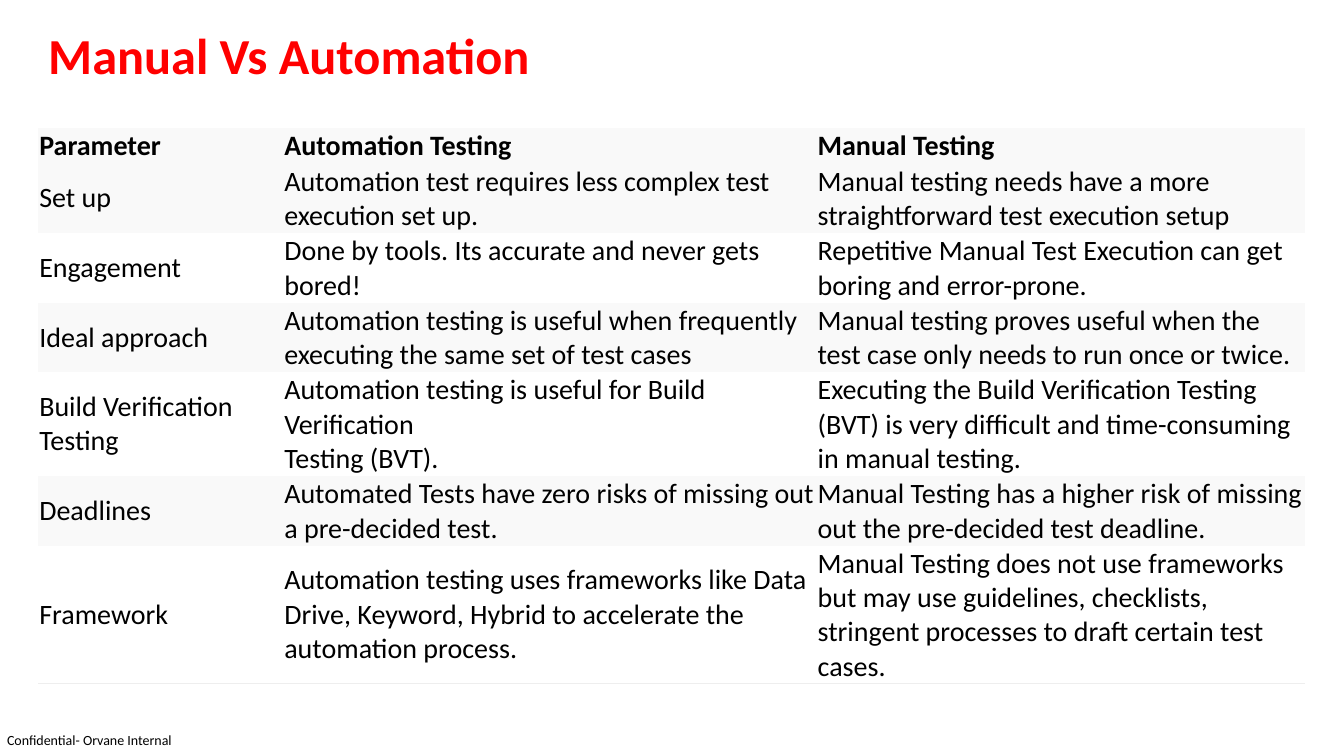
from lxml.etree import SubElement
from pptx import Presentation
from pptx.dml.color import RGBColor
from pptx.enum.text import MSO_ANCHOR
from pptx.oxml import parse_xml
from pptx.oxml.ns import nsdecls, qn
from pptx.util import Inches, Pt

RED = RGBColor(0xFF, 0x00, 0x00)
BLACK = RGBColor(0x00, 0x00, 0x00)
WHITE = RGBColor(0xFF, 0xFF, 0xFF)
GRAY = RGBColor(0xF9, 0xF9, 0xF9)
RULE = RGBColor(0xEE, 0xEE, 0xEE)

WIDTHS = (2.43, 5.29, 4.84)
LINE = 0.34
PAD = 0.01

# Each row: its number of text lines, then its cells.
ROWS = [
    (1, "Parameter", "Automation Testing", "Manual Testing"),
    (2, "Set up",
     "Automation test requires less complex test execution set up.",
     "Manual testing needs have a more straightforward test execution setup"),
    (2, "Engagement",
     "Done by tools. Its accurate and never gets bored!",
     "Repetitive Manual Test Execution can get boring and error-prone."),
    (2, "Ideal approach",
     "Automation testing is useful when frequently executing the same set of test cases",
     "Manual testing proves useful when the test case only needs to run once or twice."),
    (3, "Build Verification\vTesting",
     "Automation testing is useful for Build Verification\vTesting (BVT).",
     "Executing the Build Verification Testing (BVT) is very difficult "
     "and time-consuming in manual testing."),
    (2, "Deadlines",
     "Automated Tests have zero risks of missing out a pre-decided test.",
     "Manual Testing has a higher risk of missing out the pre-decided test deadline."),
    (4, "Framework",
     "Automation testing uses frameworks like Data Drive, Keyword, Hybrid "
     "to accelerate the automation process.",
     "Manual Testing does not use frameworks but may use guidelines, checklists, "
     "stringent processes to draft certain test cases."),
]


def style(para, size, color, bold=False):
    font = para.font
    font.name = "Calibri"
    font.size = Pt(size)
    font.bold = bold
    font.color.rgb = color


def add_title(slide, left, top, width, height):
    frame = slide.shapes.add_textbox(left, top, width, height).text_frame
    frame.word_wrap = True
    frame.vertical_anchor = MSO_ANCHOR.MIDDLE
    para = frame.paragraphs[0]
    para.text = "Manual Vs Automation"
    para.line_spacing = 0.9
    style(para, 36, RED, True)


def add_footer(slide, left, top, width, height):
    frame = slide.shapes.add_textbox(left, top, width, height).text_frame
    frame.word_wrap = True
    frame.margin_left = frame.margin_right = 0
    frame.margin_top = frame.margin_bottom = 0
    para = frame.paragraphs[0]
    para.text = "Confidential- Orvane Internal"
    style(para, 10, BLACK)


def set_rules(cell):
    """Draw only the bottom border of the cell."""
    props = cell._tc.get_or_add_tcPr()
    for spot, side in enumerate(("lnL", "lnR", "lnT", "lnB")):
        line = parse_xml(f'<a:{side} {nsdecls("a")} w="{Pt(0.75)}"/>')
        if side == "lnB":
            fill = SubElement(line, qn("a:solidFill"))
            SubElement(fill, qn("a:srgbClr"), val=str(RULE))
        else:
            SubElement(line, qn("a:noFill"))
        props.insert(spot, line)


def fill_cell(cell, text, row):
    cell.margin_left = cell.margin_right = Inches(PAD)
    cell.margin_top = cell.margin_bottom = Inches(PAD)
    cell.vertical_anchor = MSO_ANCHOR.MIDDLE
    cell.fill.solid()
    cell.fill.fore_color.rgb = GRAY if row == 0 or row % 2 else WHITE
    set_rules(cell)
    para = cell.text_frame.paragraphs[0]
    para.text = text
    style(para, 20, BLACK, row == 0)


def add_grid(slide, left, top, width, height):
    table = slide.shapes.add_table(
        len(ROWS), len(WIDTHS), left, top, width, height).table
    table.first_row = table.horz_banding = False
    for col, size in zip(table.columns, WIDTHS):
        col.width = Inches(size)
    for row, (lines, *texts) in enumerate(ROWS):
        table.rows[row].height = Inches(LINE * lines + PAD)
        for col, text in enumerate(texts):
            fill_cell(table.cell(row, col), text, row)


def main():
    deck = Presentation()
    deck.slide_width = Inches(13.33)
    deck.slide_height = Inches(7.5)
    slide = deck.slides.add_slide(deck.slide_layouts[6])
    add_footer(slide, Inches(0.07), Inches(7.26), Inches(1.8), Inches(0.17))
    add_title(slide, Inches(0.38), Inches(0.25), Inches(11.93), Inches(0.65))
    add_grid(slide, Inches(0.38), Inches(1.27), Inches(12.57), Inches(5.43))
    deck.save("out.pptx")


if __name__ == "__main__":
    main()
